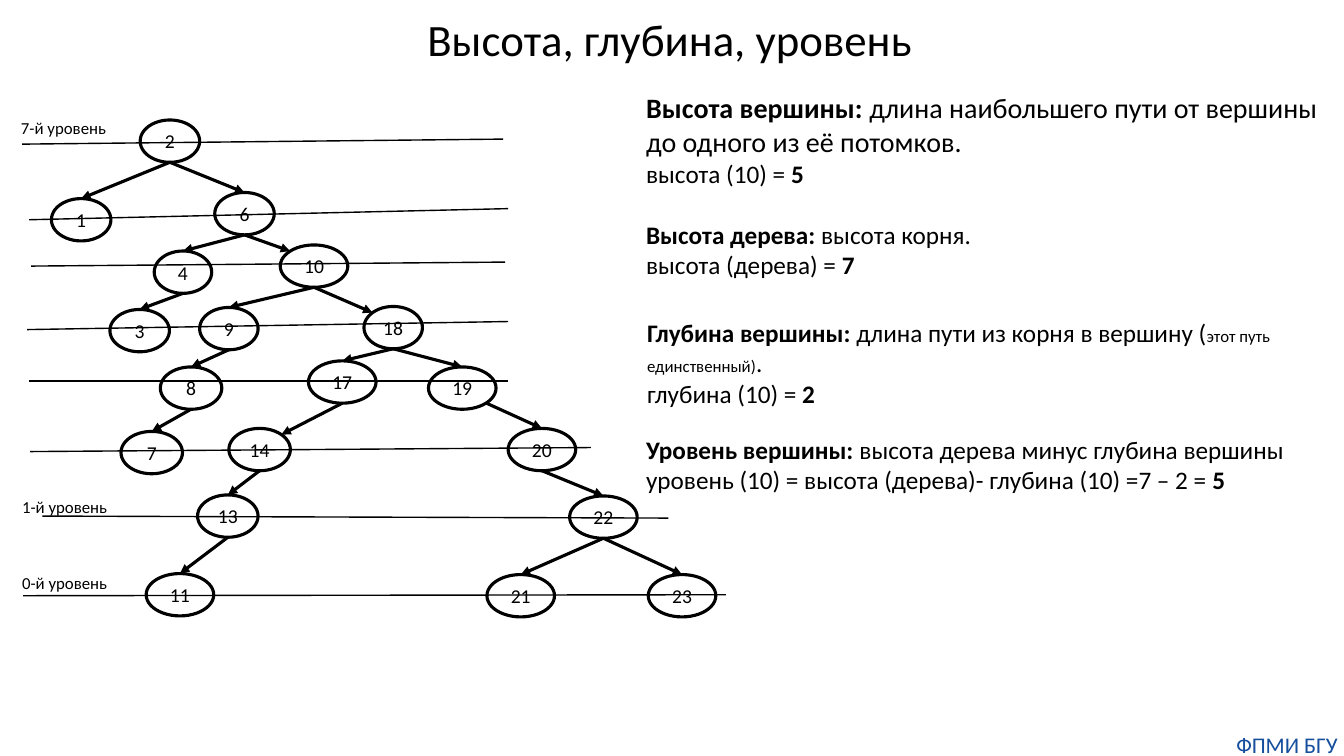
from dataclasses import dataclass

from lxml.etree import SubElement
from pptx import Presentation
from pptx.dml.color import RGBColor
from pptx.enum.shapes import MSO_CONNECTOR as Link, MSO_SHAPE as Shape
from pptx.enum.text import MSO_ANCHOR as Anchor, MSO_AUTO_SIZE as Fit, PP_ALIGN as Align
from pptx.oxml.ns import qn
from pptx.util import Inches, Pt


@dataclass(frozen=True)
class Theme:
    font: str = "Calibri"
    ink: RGBColor = RGBColor(0, 0, 0)
    blue: RGBColor = RGBColor(0x14, 0x4E, 0x9D)
    title: int = 32
    lead: int = 20
    body: int = 18
    foot: int = 16
    node: int = 14
    small: int = 12
    bold: float = 2.25
    thin: float = 1


THEME = Theme()
HIGH = 0.42  # node height
DIAG = 0.354  # share of a side from the centre to a diagonal point

# key: left, top, width
NODES = {
    2: (1.39, 1.19, 0.59),
    1: (0.51, 1.97, 0.59),
    6: (2.13, 1.91, 0.59),
    4: (1.53, 2.49, 0.57),
    10: (2.78, 2.43, 0.67),
    3: (1.09, 3.07, 0.59),
    9: (1.98, 3.05, 0.58),
    18: (3.61, 3.04, 0.58),
    8: (1.59, 3.64, 0.61),
    17: (3.06, 3.58, 0.67),
    19: (4.25, 3.64, 0.67),
    7: (1.2, 4.28, 0.61),
    14: (2.27, 4.25, 0.61),
    20: (5.04, 4.25, 0.67),
    13: (1.96, 4.91, 0.6),
    22: (5.65, 4.92, 0.67),
    11: (1.45, 5.69, 0.67),
    21: (4.83, 5.7, 0.67),
    23: (6.43, 5.7, 0.67),
}

# parent, child, side where the edge leaves, side where it arrives
EDGES = [
    (2, 1, 0, 0), (2, 6, 0, 0), (6, 4, 0, 0), (6, 10, 0, -1),
    (4, 3, 0, 0), (10, 9, 0, 0), (10, 18, 0, -1), (9, 8, 0, 0),
    (18, 17, 0, 0), (18, 19, 0, 0), (8, 7, 0, 0), (17, 14, 0, 1),
    (19, 20, 1, 0), (14, 13, 0, 0), (20, 22, 0, 0), (13, 11, 0, 0),
    (22, 21, 0, 0), (22, 23, 0, 0),
]

# start and end of each level line
LEVELS = [
    ((0.22, 1.43), (4.99, 1.38)),
    ((0.29, 2.18), (5.04, 2.07)),
    ((0.31, 2.64), (5.01, 2.6)),
    ((0.27, 3.27), (5.04, 3.19)),
    ((0.29, 3.78), (5.04, 3.78)),
    ((0.3, 4.48), (5.86, 4.44)),
    ((0.42, 5.12), (6.63, 5.14)),
    ((0.23, 5.91), (7.2, 5.9)),
]

LABELS = [
    ("7-й уровень", 0.11, 1.12),
    ("1-й уровень", 0.12, 4.88),
    ("0-й уровень", 0.12, 5.63),
]

# box, then paragraphs of (space before, runs); a run is words, bold, size
NOTES = [
    ((6.31, 0.85, 6.95, 2.02), [
        (0, [("Высота вершины: ", True, THEME.lead),
             ("длина наибольшего пути от вершины до одного из её потомков.",
              False, THEME.lead)]),
        (0, [("высота (10) = ",), ("5", True)]),
        (22, [("Высота дерева: ", True), ("высота корня.",)]),
        (0, [("высота (дерева) = ",), ("7", True)]),
    ]),
    ((6.32, 3.1, 6.51, 1.04), [
        (0, [("Глубина вершины: ", True), ("длина пути из корня в вершину (",),
             ("этот путь единственный)", False, THEME.small), (".",)]),
        (0, [("глубина (10) = ",), ("2", True)]),
    ]),
    ((6.31, 4.26, 6.7, 0.71), [
        (0, [("Уровень вершины: ", True),
             ("высота дерева минус глубина вершины",)]),
        (0, [("уровень (10) = высота (дерева)- глубина (10) =7 – 2 = ",),
             ("5", True)]),
    ]),
]


def write(frame, paras, size=THEME.body, color=THEME.ink, align=Align.LEFT,
          wrap=True, inset=None, anchor=Anchor.TOP, fit=Fit.SHAPE_TO_FIT_TEXT):
    """Fill a text frame from a string or from paragraphs of runs."""
    if isinstance(paras, str):
        paras = [(0, [(paras,)])]
    frame.auto_size, frame.word_wrap = fit, wrap
    frame.vertical_anchor = anchor
    if inset is not None:
        frame.margin_left = frame.margin_right = Inches(inset)
        frame.margin_top = frame.margin_bottom = Inches(inset)
    for i, (gap, runs) in enumerate(paras):
        para = frame.add_paragraph() if i else frame.paragraphs[0]
        para.alignment = align
        if gap:
            para.space_before = Pt(gap)
        for words, *look in runs:
            bold, points = (look + [False, size][len(look):])
            run = para.add_run()
            run.text = words
            run.font.name, run.font.size = THEME.font, Pt(points)
            run.font.bold, run.font.color.rgb = bold, color


def label(slide, box, paras, **look):
    area = slide.shapes.add_textbox(*map(Inches, box))
    write(area.text_frame, paras, **look)


def oval(slide, key):
    left, top, wide = NODES[key]
    node = slide.shapes.add_shape(
        Shape.OVAL, *map(Inches, (left, top, wide, HIGH)))
    node.shadow.inherit = False
    node.fill.background()
    node.line.color.rgb, node.line.width = THEME.ink, Pt(THEME.bold)
    write(node.text_frame, str(key), size=THEME.node, align=Align.CENTER,
          wrap=False, inset=0, anchor=Anchor.MIDDLE, fit=Fit.NONE)


def line(slide, start, end, width, arrow=False):
    link = slide.shapes.add_connector(
        Link.STRAIGHT, *map(Inches, (*start, *end)))
    link.line.color.rgb, link.line.width = THEME.ink, Pt(width)
    props = link.element.spPr
    if arrow:
        SubElement(props.find(qn("a:ln")), qn("a:tailEnd"), type="triangle")
    SubElement(props, qn("a:effectLst"))


def rim(key, side, down):
    """Point on a node's upper (-1) or lower (1) rim: left, middle or right."""
    left, top, wide = NODES[key]
    rise = DIAG if side else 0.5
    return (left + wide * (0.5 + side * DIAG),
            top + HIGH * (0.5 + down * rise))


def main():
    deck = Presentation()
    deck.slide_width, deck.slide_height = Inches(13.33), Inches(7.5)
    slide = deck.slides.add_slide(deck.slide_layouts[6])
    for key in NODES:
        oval(slide, key)
    for head, child, out, into in EDGES:
        line(slide, rim(head, out, 1), rim(child, into, -1),
             THEME.bold, arrow=True)
    for box, paras in NOTES:
        label(slide, box, paras)
    label(slide, (12.2, 7.25, 1.13, 0.27), "ФПМИ БГУ", size=THEME.foot,
          color=THEME.blue, align=Align.CENTER, inset=0)
    label(slide, (4.14, 0.07, 5.06, 0.64), "Высота, глубина, уровень",
          size=THEME.title, wrap=False)
    for start, end in LEVELS:
        line(slide, start, end, THEME.thin)
    for words, left, top in LABELS:
        label(slide, (left, top, 1.05, 0.3), words,
              size=THEME.small, wrap=False)
    deck.save("out.pptx")


if __name__ == "__main__":
    main()
